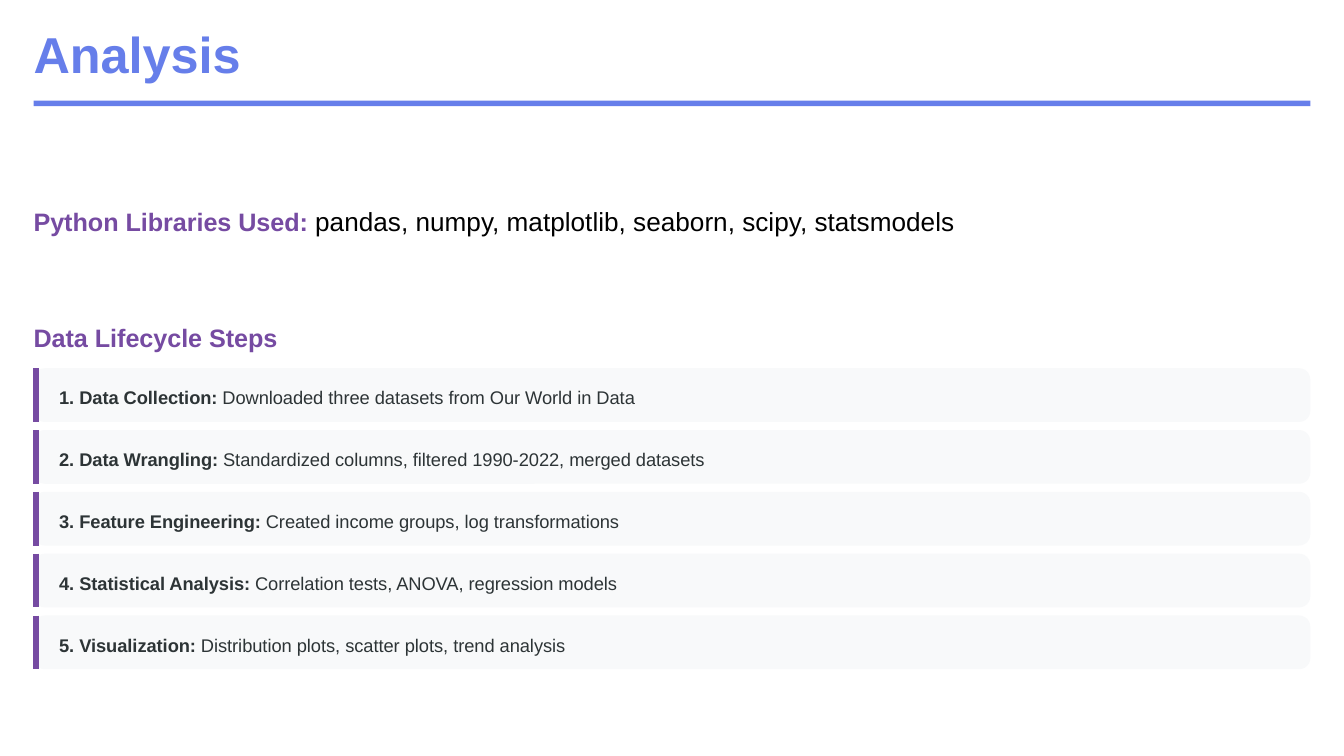
import pptx
import pptx.util
import pptx.dml.color
import pptx.enum.shapes
import pptx.oxml.ns
import lxml.etree

Inches, Pt = pptx.util.Inches, pptx.util.Pt
RGBColor = pptx.dml.color.RGBColor
SHAPE = pptx.enum.shapes.MSO_SHAPE

BLUE = RGBColor(0x66, 0x7E, 0xEA)
PURPLE = RGBColor(0x76, 0x4B, 0xA2)
BLACK = RGBColor(0, 0, 0)
INK = RGBColor(0x2D, 0x34, 0x36)
PALE = RGBColor(0xF8, 0xF9, 0xFA)

TITLE = "Analysis"
LABEL = "Python Libraries Used: "
LIBS = "pandas, numpy, matplotlib, seaborn, scipy, statsmodels"
HEADING = "Data Lifecycle Steps"
STEPS = [
    ("Data Collection", "Downloaded three datasets from Our World in Data"),
    ("Data Wrangling", "Standardized columns, filtered 1990-2022, merged datasets"),
    ("Feature Engineering", "Created income groups, log transformations"),
    ("Statistical Analysis", "Correlation tests, ANOVA, regression models"),
    ("Visualization", "Distribution plots, scatter plots, trend analysis"),
]

LEFT, WIDTH = 0.25, 9.5
TOP, HIGH, PITCH = 2.74, 0.4, 0.46
SMALL = 9.75


def add_text(slide, box, lead, runs):
    """Place one line of (text, size, colour, bold) runs; lead is the line height in points."""
    frame = slide.shapes.add_textbox(*map(Inches, box)).text_frame
    frame.word_wrap = True
    frame.margin_left = frame.margin_right = 0
    frame.margin_top = frame.margin_bottom = 0
    para = frame.paragraphs[0]
    para.line_spacing = Pt(lead)
    for text, size, color, bold in runs:
        run = para.add_run()
        run.text = text
        run.font.name = "Arial"
        run.font.size = Pt(size)
        run.font.bold = bold
        run.font.color.rgb = color


def add_block(slide, kind, box, color):
    block = slide.shapes.add_shape(kind, *map(Inches, box))
    block.shadow.inherit = False
    block.fill.solid()
    block.fill.fore_color.rgb = color
    block.line.fill.background()
    return block


def add_step(slide, num, name, note):
    top = TOP + (num - 1) * PITCH
    card = add_block(slide, SHAPE.ROUNDED_RECTANGLE, (LEFT, top, WIDTH, HIGH), PALE)
    card.adjustments[0] = 0.21
    x = LEFT + 0.02
    bar = slide.shapes.add_connector(
        pptx.enum.shapes.MSO_CONNECTOR.STRAIGHT,
        Inches(x), Inches(top), Inches(x), Inches(top + HIGH))
    bar.line.color.rgb = PURPLE
    bar.line.width = Pt(3)
    lxml.etree.SubElement(bar._element.spPr, pptx.oxml.ns.qn("a:effectLst"))
    add_text(slide, (0.44, top + 0.11, 9.35, 0.19), 13.65,
             [(f"{num}. {name}:", SMALL, INK, True), (f" {note}", SMALL, INK, False)])


def main():
    deck = pptx.Presentation()
    deck.slide_width = Inches(10)
    deck.slide_height = deck.slide_width * 9 // 16
    slide = deck.slides.add_slide(deck.slide_layouts[6])

    add_text(slide, (LEFT, 0.25, 4.86, 0.38), 27, [(TITLE, 27, BLUE, True)])
    add_block(slide, SHAPE.RECTANGLE, (LEFT, 0.75, WIDTH, 0.04), BLUE)
    add_text(slide, (LEFT, 1.5, 9.69, 0.26), 18.9,
             [(LABEL, 13.5, PURPLE, True), (LIBS, 14, BLACK, False)])
    add_text(slide, (LEFT, 2.36, 9.69, 0.26), 18.9, [(HEADING, 13.5, PURPLE, True)])
    for num, (name, note) in enumerate(STEPS, 1):
        add_step(slide, num, name, note)

    deck.save("out.pptx")


if __name__ == "__main__":
    main()
